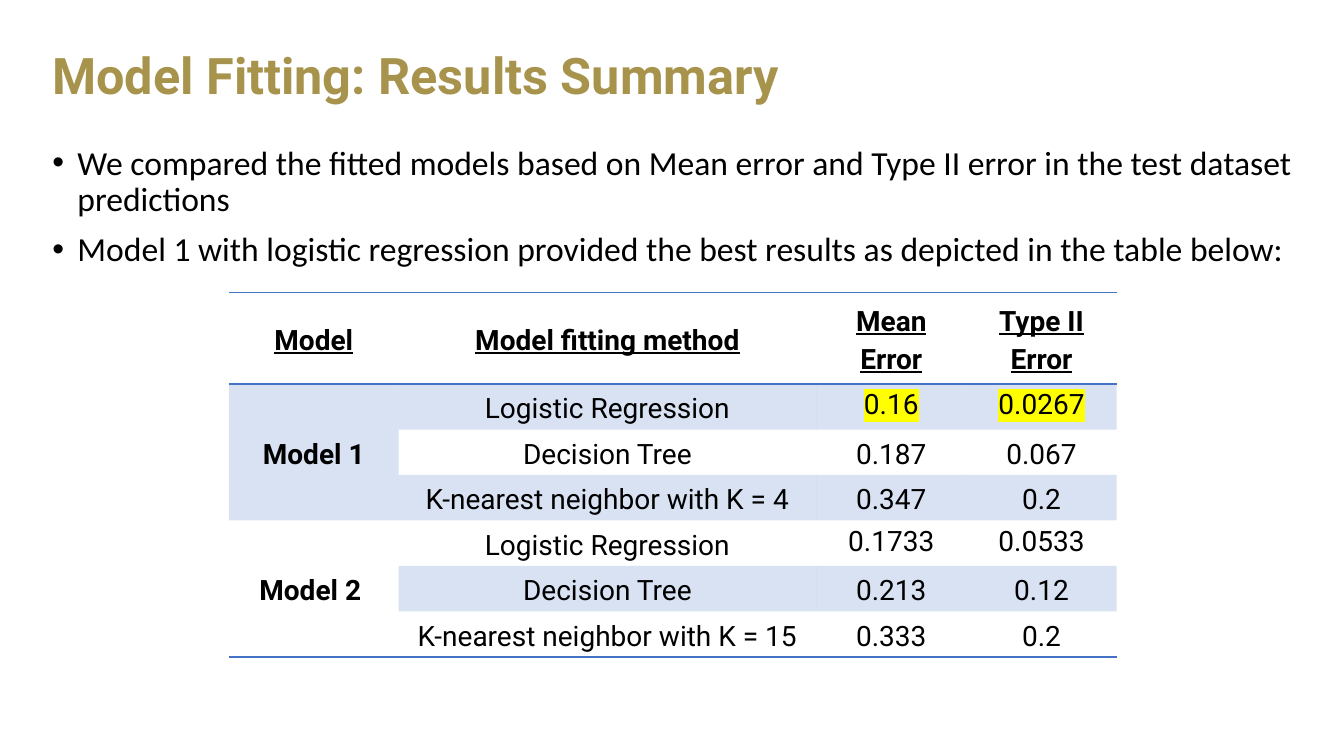
from lxml import etree
from pptx import Presentation
from pptx.dml.color import RGBColor
from pptx.enum.text import MSO_ANCHOR, PP_ALIGN
from pptx.oxml.ns import qn
from pptx.util import Inches, Pt

TOP, MIDDLE = MSO_ANCHOR.TOP, MSO_ANCHOR.MIDDLE
LEFT, CENTER = PP_ALIGN.LEFT, PP_ALIGN.CENTER
COLORS = {"gold": "A7934B", "black": "000000", "blue": "4472C4", "yellow": "FFFF00"}
NO_STYLE_NO_GRID = "{2D5ABB26-0587-4C30-8999-92F81FD0307C}"

HEADERS = ["Model", "Model fitting method", "Mean Error", "Type II Error"]
MODELS = {
    "Model 1": [
        ("Logistic Regression", "0.16", "0.0267"),
        ("Decision Tree", "0.187", "0.067"),
        ("K-nearest neighbor with K = 4", "0.347", "0.2"),
    ],
    "Model 2 ": [
        ("Logistic Regression", "0.1733", "0.0533"),
        ("Decision Tree", "0.213", "0.12"),
        ("K-nearest neighbor with K = 15", "0.333", "0.2"),
    ],
}
BULLETS = [
    "We compared the fitted models based on Mean error and Type II error "
    "in the test dataset predictions",
    "Model 1 with logistic regression provided the best results "
    "as depicted in the table below:",
]


def add_color(parent, color):
    return etree.SubElement(parent, qn("a:srgbClr"), val=COLORS[color])


def write(paragraph, text, *, size=20, font="Roboto", color="black", bold=False,
          underline=False, highlight=None, align=LEFT, line=0.9, before=0, bullet=None):
    paragraph.alignment = align
    paragraph.line_spacing = line
    paragraph.space_before = Pt(before)
    if bullet:
        properties = paragraph._p.get_or_add_pPr()
        properties.set("marL", str(Inches(0.25)))
        properties.set("indent", str(Inches(-0.25)))
        etree.SubElement(properties, qn("a:buFont"), typeface="Arial")
        etree.SubElement(properties, qn("a:buChar"), char=bullet)
    run = paragraph.add_run()
    run.text = text
    run.font.size = Pt(size)
    run.font.bold = bold
    run.font.underline = underline
    run.font.color.rgb = RGBColor.from_string(COLORS[color])
    if highlight:
        add_color(etree.SubElement(run._r.get_or_add_rPr(), qn("a:highlight")), highlight)
    run.font.name = font


class SlideBuilder:
    """Places elements on a slide by percentages of its width and height."""

    def __init__(self, presentation):
        self.width = presentation.slide_width
        self.height = presentation.slide_height
        self.slide = presentation.slides.add_slide(presentation.slide_layouts[6])

    def across(self, percent):
        return round(self.width * percent / 100)

    def down(self, percent):
        return round(self.height * percent / 100)

    def box(self, left, top, width, height):
        return self.across(left), self.down(top), self.across(width), self.down(height)

    def text(self, area, lines, anchor=TOP, **style):
        frame = self.slide.shapes.add_textbox(*self.box(*area)).text_frame
        frame.word_wrap = True
        frame.vertical_anchor = anchor
        for index, line in enumerate(lines):
            paragraph = frame.add_paragraph() if index else frame.paragraphs[0]
            write(paragraph, line, **style)

    def table(self, left, top, columns, rows):
        area = self.box(left, top, sum(columns), sum(rows))
        table = self.slide.shapes.add_table(len(rows), len(columns), *area).table
        table._tbl.tblPr.find(qn("a:tableStyleId")).text = NO_STYLE_NO_GRID
        table.first_row = table.horz_banding = False
        for column, width in zip(table.columns, columns):
            column.width = self.across(width)
        for row, height in zip(table.rows, rows):
            row.height = self.down(height)
        return table

    def cell(self, cell, text, *, anchor=MIDDLE, shaded=False, borders=(), **style):
        cell.margin_left = cell.margin_right = Inches(0.07)
        cell.margin_top = cell.margin_bottom = 0
        cell.vertical_anchor = anchor
        if shaded:
            cell.fill.solid()
            cell.fill.fore_color.rgb = RGBColor.from_string(COLORS["blue"])
            tint = cell._tc.tcPr.find(qn("a:solidFill"))[0]
            etree.SubElement(tint, qn("a:alpha"), val="20000")
        else:
            cell.fill.background()
        for index, side in enumerate(borders):
            border = etree.Element(qn(f"a:ln{side}"), w=str(Pt(1)))
            add_color(etree.SubElement(border, qn("a:solidFill")), "blue")
            cell._tc.tcPr.insert(index, border)
        if text:
            write(cell.text_frame.paragraphs[0], text, align=CENTER, line=1.15, **style)


def add_results(builder):
    table = builder.table(17.03, 38.67, [12.64, 31.06, 11.18, 11.18], [12.13] + [6.02] * 6)
    for column, header in enumerate(HEADERS):
        builder.cell(table.cell(0, column), header, borders="TB", bold=True,
                     underline=True, before=0 if column else 6)
    row = 0
    for model, results in MODELS.items():
        first, last = row + 1, row + len(results)
        model_shaded = first % 2 == 1
        closing = "B" if last == len(table.rows) - 1 else ""
        table.cell(first, 0).merge(table.cell(last, 0))
        for row, values in enumerate(results, first):
            builder.cell(table.cell(row, 0), model if row == first else "",
                         shaded=model_shaded, borders=closing, bold=True)
            for column, value in enumerate(values, 1):
                is_error = column > 1
                builder.cell(
                    table.cell(row, column), value, before=6,
                    anchor=TOP if is_error and row == first else MIDDLE,
                    shaded=row % 2 == 1,
                    borders=closing if row == last else "",
                    highlight="yellow" if is_error and row == 1 else None)


def main():
    presentation = Presentation()
    presentation.slide_width = Inches(13.33)
    presentation.slide_height = Inches(7.5)
    builder = SlideBuilder(presentation)
    add_results(builder)
    builder.text((3.15, 18.67, 93.77, 67.07), BULLETS, size=24, font="Calibri",
                 before=10, bullet="•")
    builder.text((3.15, 2.93, 93.77, 14.8), ["Model Fitting: Results Summary"],
                 anchor=MIDDLE, size=36, color="gold", bold=True)
    presentation.save("out.pptx")


if __name__ == "__main__":
    main()
